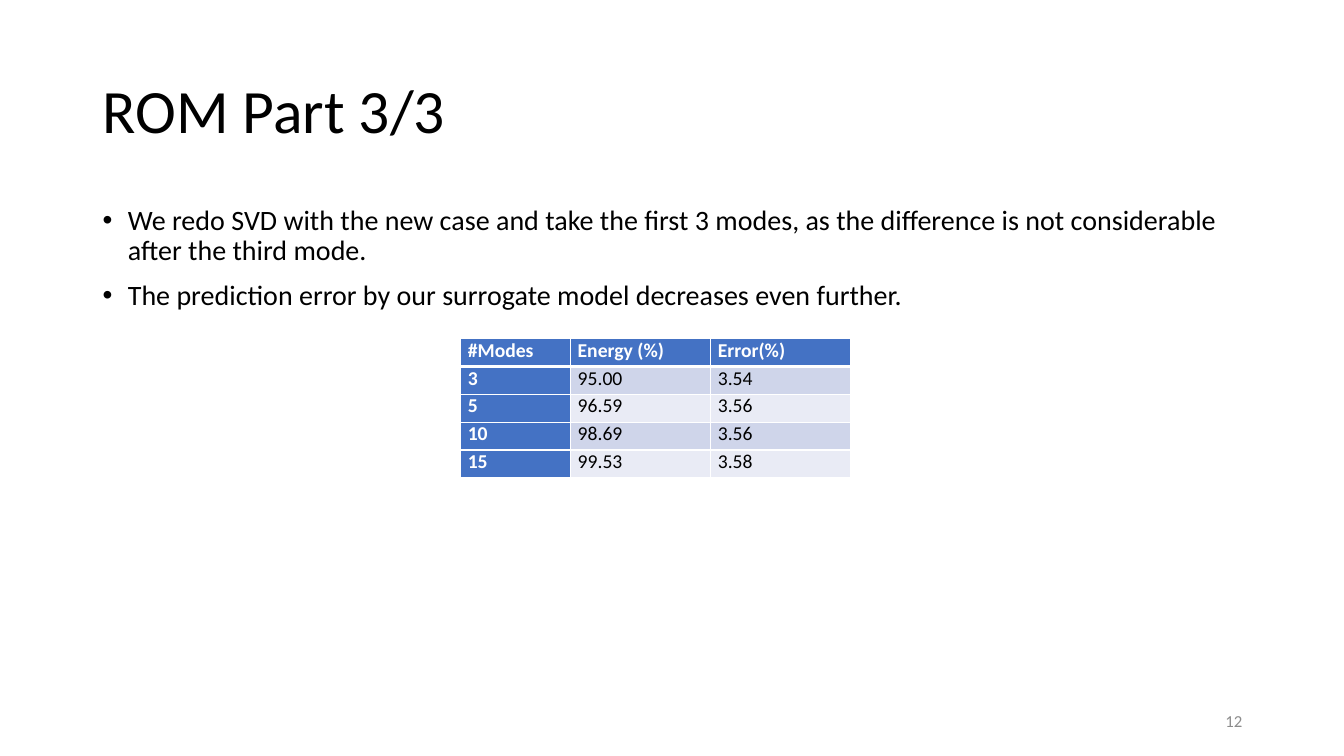
from dataclasses import dataclass

from lxml import etree
from pptx import Presentation
from pptx.dml.color import RGBColor
from pptx.enum.text import MSO_ANCHOR, PP_ALIGN
from pptx.oxml.ns import qn
from pptx.slide import Slide
from pptx.table import _Cell
from pptx.text.text import TextFrame, _Paragraph
from pptx.util import Emu, Pt

EMU_PER_PX = 9144  # 100 px to the inch
TOP, MIDDLE = MSO_ANCHOR.TOP, MSO_ANCHOR.MIDDLE
LEFT, RIGHT = PP_ALIGN.LEFT, PP_ALIGN.RIGHT


@dataclass(frozen=True)
class Theme:
    font: str = "Calibri"
    text: str = "000000"
    white: str = "FFFFFF"
    muted: str = "8C8C8C"
    header: str = "4472C4"
    bands: tuple[str, str] = ("CFD5EA", "E9EBF5")
    title_size: int = 44
    body_size: int = 20
    table_size: int = 14
    number_size: int = 12
    border_width: int = 1
    header_rule_width: int = 3


@dataclass(frozen=True)
class Box:
    left: int
    top: int
    width: int
    height: int

    def emu(self) -> tuple[Emu, Emu, Emu, Emu]:
        return px(self.left), px(self.top), px(self.width), px(self.height)


THEME = Theme()
TITLE_BOX = Box(92, 40, 1150, 145)
BODY_BOX = Box(92, 200, 1150, 476)
TABLE_BOX = Box(457, 336, 387, 138)
NUMBER_BOX = Box(942, 695, 300, 40)
BULLET_INDENT = 25
CELL_MARGIN = 7
COLUMN_WIDTHS = (109, 139, 139)
BULLETS = (
    "We redo SVD with the new case and take the first 3 modes, "
    "as the difference is not considerable after the third mode.",
    "The prediction error by our surrogate model decreases even further.",
)
MODE_ROWS = (
    ("#Modes", "Energy (%)", "Error(%)"),
    ("3", "95.00", "3.54"),
    ("5", "96.59", "3.56"),
    ("10", "98.69", "3.56"),
    ("15", "99.53", "3.58"),
)


def px(length: int) -> Emu:
    return Emu(length * EMU_PER_PX)


def add_bullet(paragraph: _Paragraph) -> None:
    properties = paragraph._p.get_or_add_pPr()
    properties.set("marL", str(px(BULLET_INDENT)))
    properties.set("indent", str(-px(BULLET_INDENT)))
    etree.SubElement(properties, qn("a:buFont"), typeface="Arial")
    etree.SubElement(properties, qn("a:buChar"), char="•")


def write_text(frame: TextFrame, *lines: str, size: int, color: str = THEME.text,
               bold: bool = False, align: PP_ALIGN = LEFT, line_spacing: float = 1.0,
               space_before: int = 0, bullet: bool = False) -> None:
    """Fill the frame with one paragraph per line, all in the same format."""
    for index, line in enumerate(lines):
        paragraph = frame.add_paragraph() if index else frame.paragraphs[0]
        paragraph.alignment = align
        paragraph.line_spacing = line_spacing
        paragraph.space_before = Pt(space_before)
        if bullet:
            add_bullet(paragraph)
        run = paragraph.add_run()
        run.text = line
        run.font.name = THEME.font
        run.font.size = Pt(size)
        run.font.bold = bold
        run.font.color.rgb = RGBColor.from_string(color)


def add_frame(slide: Slide, box: Box, anchor: MSO_ANCHOR = TOP) -> TextFrame:
    frame = slide.shapes.add_textbox(*box.emu()).text_frame
    frame.word_wrap = True
    frame.vertical_anchor = anchor
    return frame


def set_borders(cell: _Cell, **widths: int) -> None:
    """Draw white borders; widths are points, keyed by side in schema order."""
    properties = cell._tc.get_or_add_tcPr()
    for side, width in widths.items():
        line = etree.SubElement(properties, qn(f"a:ln{side}"), w=str(Pt(width)))
        fill = etree.SubElement(line, qn("a:solidFill"))
        etree.SubElement(fill, qn("a:srgbClr"), val=THEME.white)


def add_modes_table(slide: Slide) -> None:
    table = slide.shapes.add_table(
        len(MODE_ROWS), len(COLUMN_WIDTHS), *TABLE_BOX.emu()).table
    table.first_col = True
    for column, width in zip(table.columns, COLUMN_WIDTHS):
        column.width = px(width)
    thin, thick = THEME.border_width, THEME.header_rule_width
    for row_index, values in enumerate(MODE_ROWS):
        for column_index, value in enumerate(values):
            cell = table.cell(row_index, column_index)
            is_header = row_index == 0 or column_index == 0
            cell.margin_left = cell.margin_right = px(CELL_MARGIN)
            cell.margin_top = cell.margin_bottom = 0
            set_borders(cell, L=thin, R=thin,
                        T=thick if row_index == 1 else thin,
                        B=thick if row_index == 0 else thin)
            band = THEME.bands[(row_index - 1) % 2]
            cell.fill.solid()
            cell.fill.fore_color.rgb = RGBColor.from_string(
                THEME.header if is_header else band)
            write_text(cell.text_frame, value, size=THEME.table_size, bold=is_header,
                       color=THEME.white if is_header else THEME.text)


def main() -> None:
    presentation = Presentation()
    presentation.slide_width, presentation.slide_height = px(1333), px(750)
    slide = presentation.slides.add_slide(presentation.slide_layouts[6])
    write_text(add_frame(slide, TITLE_BOX, MIDDLE), "ROM Part 3/3",
               size=THEME.title_size, line_spacing=0.9)
    write_text(add_frame(slide, BODY_BOX), *BULLETS, size=THEME.body_size,
               line_spacing=0.9, space_before=10, bullet=True)
    add_modes_table(slide)
    write_text(add_frame(slide, NUMBER_BOX, MIDDLE), "12",
               size=THEME.number_size, color=THEME.muted, align=RIGHT)
    presentation.save("out.pptx")


if __name__ == "__main__":
    main()
